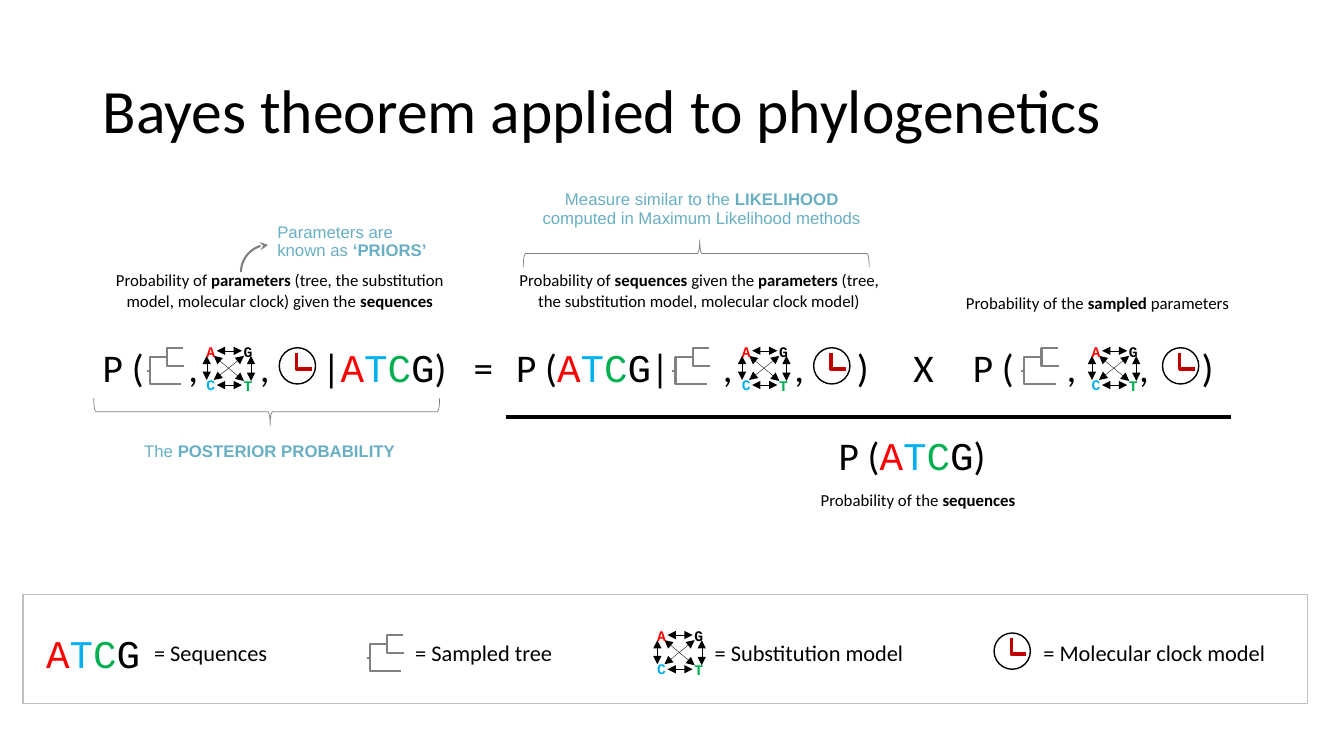
from lxml.etree import SubElement
from pptx import Presentation
from pptx.dml.color import RGBColor
from pptx.enum.shapes import MSO_CONNECTOR, MSO_SHAPE as Shape
from pptx.enum.text import MSO_ANCHOR as Anchor, PP_ALIGN as Align
from pptx.oxml.ns import qn
from pptx.util import Emu, Pt

PX = 9144  # 100 px to the inch

BLACK = RGBColor(0x00, 0x00, 0x00)
WHITE = RGBColor(0xFF, 0xFF, 0xFF)
RED = RGBColor(0xFF, 0x00, 0x00)
BLUE = RGBColor(0x00, 0xB0, 0xF0)
GREEN = RGBColor(0x00, 0xB0, 0x50)
TEAL = RGBColor(0x69, 0xAF, 0xC3)
GRAY = RGBColor(0x80, 0x80, 0x80)
FRAME = RGBColor(0xBF, 0xBF, 0xBF)
HAND = RGBColor(0xC0, 0x00, 0x00)

BASES = {"A": RED, "T": BLUE, "C": GREEN, "G": BLACK}
SEQUENCE = "ATCG"
MONO = "Courier New"

# Symbol drawings, in px from their top left corner
TREE_BRANCHES = [
    [(20, 9), (20, 18), (37, 18)],
    [(20, 9), (20, 0), (36, 0)],
    [(3, 22), (3, 36), (34, 36)],
    [(3, 22), (3, 9), (20, 9)],
    [(0, 23), (3, 23)],
]
MODEL_BASES = [
    ("A", 0, 0, RED, Align.LEFT),
    ("G", 37, 0, BLACK, Align.RIGHT),
    ("C", 0, 33, BLUE, Align.LEFT),
    ("T", 37, 34, GREEN, Align.RIGHT),
]
MODEL_ARROWS = [
    (12, 4, 37, 4), (2, 9, 2, 33), (12, 38, 37, 38),
    (46, 9, 46, 34), (9, 33, 39, 9), (9, 9, 39, 34),
]


def px(*lengths):
    return [Emu(length * PX) for length in lengths]


def write(shape, spans, size=12, font="Calibri", color=BLACK, align=Align.LEFT,
          anchor=Anchor.MIDDLE, spacing=None, insets=(10, 5), tabs=()):
    """Fill a shape with one paragraph of (text, format) spans."""
    frame = shape.text_frame
    frame.word_wrap = True
    frame.vertical_anchor = anchor
    frame.margin_left, frame.margin_top = px(*insets)
    frame.margin_right, frame.margin_bottom = px(*insets)
    para = frame.paragraphs[0]
    para.alignment = align
    if spacing:
        para.line_spacing = spacing
    if tabs:
        stops = SubElement(para._p.get_or_add_pPr(), qn("a:tabLst"))
        for stop in tabs:
            SubElement(stops, qn("a:tab"), pos=str(stop * PX), algn="l")
    for text, style in spans:
        span = para.add_run()
        span.text = text
        span.font.size = Pt(size)
        span.font.name = style.get("font", font)
        span.font.bold = style.get("bold", False)
        span.font.color.rgb = style.get("color", color)


def emphasis(text):
    """Parts between asterisks are bold."""
    return [(part, {"bold": i % 2 == 1}) for i, part in enumerate(text.split("*")) if part]


def colored(text):
    """Give the sequence letters their own colours."""
    before, letters, after = text.partition(SEQUENCE)
    spans = [(base, {"font": MONO, "color": BASES[base]}) for base in letters]
    return [(part, style) for part, style in [(before, {}), *spans, (after, {})] if part]


class Board:
    def __init__(self, slide):
        self.shapes = slide.shapes

    def stroke(self, shape, color, width):
        shape.line.color.rgb = color
        shape.line.width = Pt(width)

    def arrowheads(self, shape, kind, *ends):
        line = shape.line._get_or_add_ln()
        for end in ends:
            SubElement(line, qn(f"a:{end}"), type=kind)

    def text(self, box, spans, **style):
        write(self.shapes.add_textbox(*px(*box)), spans, **style)

    def shape(self, kind, box, color=None, width=1, fill=None):
        shape = self.shapes.add_shape(kind, *px(*box))
        shape.shadow.inherit = False
        if fill is None:
            shape.fill.background()
        else:
            shape.fill.solid()
            shape.fill.fore_color.rgb = fill
        if color is None:
            shape.line.fill.background()
        else:
            self.stroke(shape, color, width)
        return shape

    def line(self, start_x, start_y, end_x, end_y, width):
        line = self.shapes.add_connector(
            MSO_CONNECTOR.STRAIGHT, *px(start_x, start_y, end_x, end_y))
        self.stroke(line, BLACK, width)
        SubElement(line._element.spPr, qn("a:effectLst"))
        return line

    def outline(self, left, top, points, color, width):
        points = [(left + x, top + y) for x, y in points]
        builder = self.shapes.build_freeform(*points[0], scale=PX)
        builder.add_line_segments(points[1:], close=False)
        shape = builder.convert_to_shape()
        shape.shadow.inherit = False
        shape.fill.background()
        self.stroke(shape, color, width)

    def brace(self, box, rotation, flip=False):
        brace = self.shape(Shape.LEFT_BRACE, box, GRAY, 0.5)
        brace.adjustments[0], brace.adjustments[1] = 0.08, 0.49
        brace.rotation = rotation
        if flip:
            brace._element.spPr.xfrm.set("flipV", "1")

    def tree(self, left, top):
        for branch in TREE_BRANCHES:
            self.outline(left, top, branch, GRAY, 1.5)

    def model(self, left, top):
        for x1, y1, x2, y2 in MODEL_ARROWS:
            arrow = self.line(left + x1, top + y1, left + x2, top + y2, 0.25)
            self.arrowheads(arrow, "triangle", "headEnd", "tailEnd")
        for base, x, y, color, align in MODEL_BASES:
            node = self.shape(Shape.HEXAGON, (left + x, top + y, 12, 9))
            write(node, [(base, {"bold": True})], size=10.5, font=MONO,
                  color=color, align=align, insets=(0, 0))

    def clock(self, left, top):
        self.shape(Shape.OVAL, (left, top, 36, 36), BLACK, 1, WHITE)
        self.outline(left, top, [(17, 5), (17, 21), (32, 21)], HAND, 2.5)


def main():
    deck = Presentation()
    deck.slide_width, deck.slide_height = px(1333, 750)
    board = Board(deck.slides.add_slide(deck.slide_layouts[6]))

    board.text((92, 40, 1150, 145), [("Bayes theorem applied to phylogenetics", {})],
               size=44, spacing=0.9)

    # Formula: text with tab stops that leave room for the symbols
    formulas = [
        ((92, 335, 415, 57), "P (\t,\t,\t|ATCG)\t=", (85, 156, 218, 368)),
        ((502, 335, 439, 57), "P (ATCG|\t,\t,\t)\tX", (205, 276, 338, 394)),
        ((955, 335, 266, 57), "P (\t,\t,\t)", (93, 165, 227)),
        ((822, 423, 177, 57), "P (ATCG)", ()),
    ]
    for box, text, tabs in formulas:
        board.text(box, colored(text), size=28, tabs=tabs)
    for tree_x, model_x, clock_x in [(146, 203, 277), (667, 734, 807), (1013, 1081, 1153)]:
        board.tree(tree_x, 345)
        board.model(model_x, 344)
        board.clock(clock_x, 345)
    board.line(502, 414, 1221, 414, 3)

    # Captions of the terms
    captions = [
        ((93, 263, 369, 50), "Probability of *parameters* (tree, the substitution model, "
                             "molecular clock) given the *sequences*"),
        ((505, 263, 377, 50), "Probability of *sequences* given the *parameters* (tree, "
                              "the substitution model, molecular clock model)"),
        ((941, 285, 295, 30), "Probability of the *sampled* parameters"),
        ((763, 481, 295, 30), "Probability of the *sequences*"),
    ]
    for box, text in captions:
        board.text(box, emphasis(text), align=Align.CENTER)

    # Bayesian names, with their braces and arrow
    names = [
        ((271, 217, 168, 47), "Parameters are known as *‘PRIORS’*", Align.LEFT),
        ((530, 185, 332, 47), "Measure similar to the *LIKELIHOOD *"
                              "computed in Maximum Likelihood methods", Align.CENTER),
        ((109, 435, 317, 29), "The *POSTERIOR PROBABILITY*", Align.CENTER),
    ]
    for box, text, align in names:
        board.text(box, emphasis(text), font="Arial", color=TEAL, align=align,
                   anchor=Anchor.TOP, spacing=0.9, insets=(4, 5))
    board.brace((677, 80, 27, 343), 90)
    board.brace((251, 237, 27, 343), 270, flip=True)
    arc = board.shape(Shape.ARC, (239, 243, 54, 54), GRAY, 1.5)
    arc._element.spPr.xfrm.set("flipH", "1")
    board.arrowheads(arc, "stealth", "headEnd")

    # Legend
    board.shape(Shape.RECTANGLE, (23, 590, 1274, 108), FRAME, 1)
    board.text((36, 619, 118, 57), colored(SEQUENCE), size=28)
    board.tree(364, 630)
    board.model(650, 626)
    board.clock(986, 628)
    meanings = [(143, 157, "Sequences"), (402, 184, "Sampled tree"),
                (699, 223, "Substitution model"), (1025, 258, "Molecular clock model")]
    for left, width, meaning in meanings:
        board.text((left, 615, width, 64), [(f"= {meaning}", {})], size=16)

    deck.save("out.pptx")


if __name__ == "__main__":
    main()
